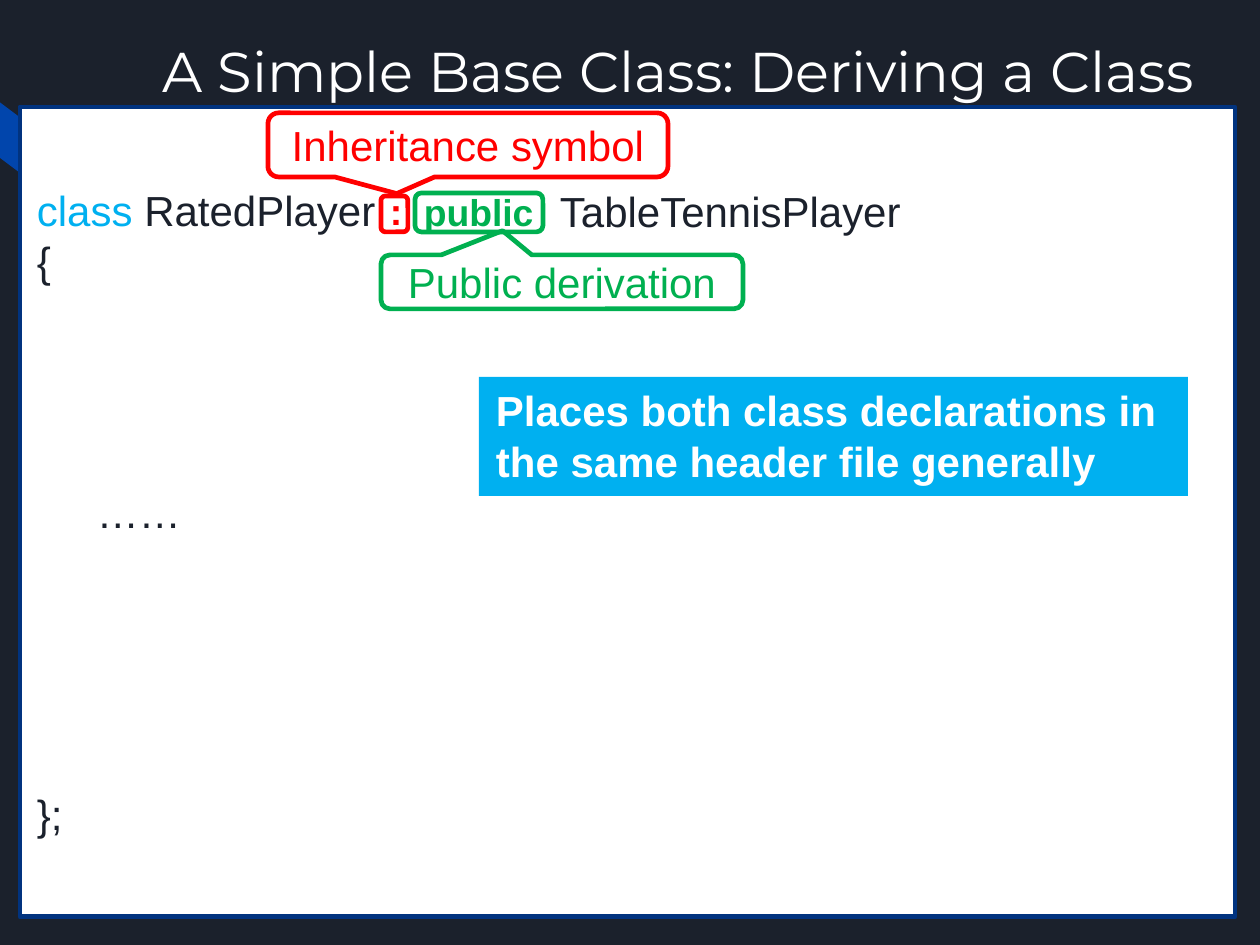
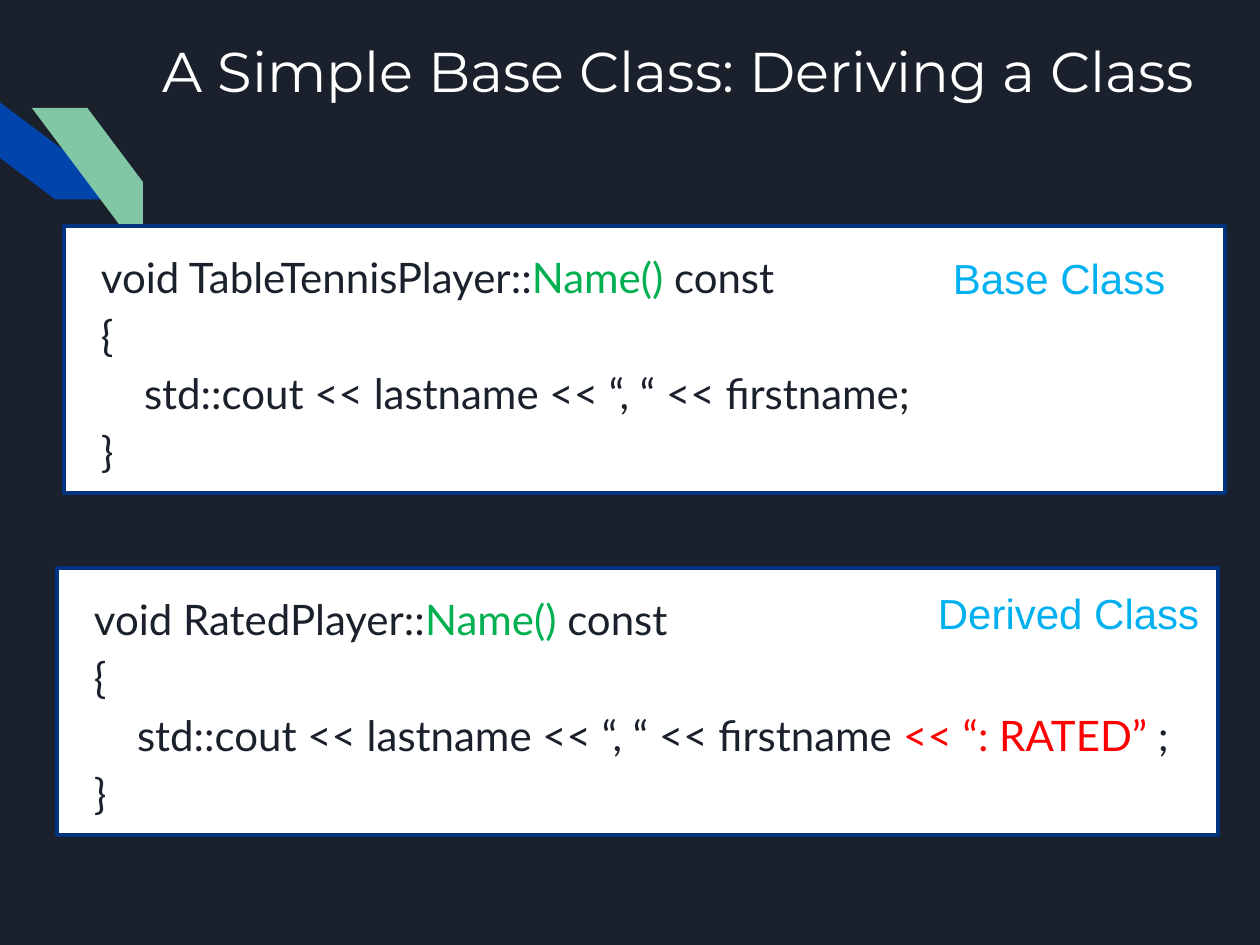
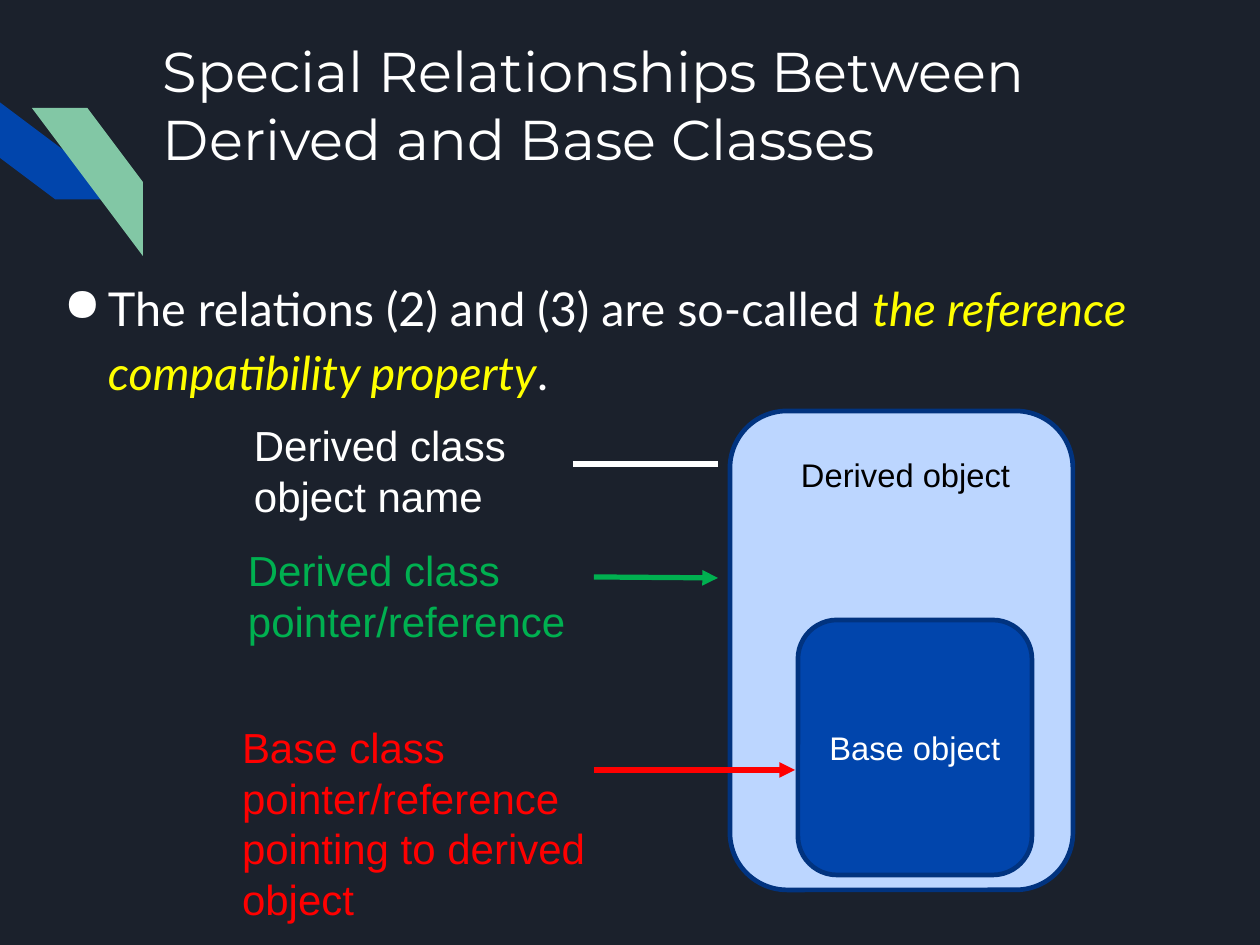
import pptx
import pptx.util
import pptx.dml.color
import pptx.enum.shapes
import pptx.enum.text
import pptx.oxml.ns
import lxml.etree

PX = 914400 / 168
COLORS = {
    "night": "1B212C", "white": "FFFFFF", "black": "000000", "navy": "01337F",
    "blue": "0145AC", "mint": "82C7A5", "sky": "00B0F0", "pale": "BCD6FF",
    "red": "FF0000", "green": "00B050", "yellow": "FFFF00",
}
SHAPE = pptx.enum.shapes.MSO_SHAPE
ALIGN = pptx.enum.text.PP_ALIGN
ANCHOR = pptx.enum.text.MSO_ANCHOR
qn = pptx.oxml.ns.qn


def px(n):
    return pptx.util.Emu(round(n * PX))


def rgb(name):
    return pptx.dml.color.RGBColor.from_string(COLORS[name])


def add_bullet(p, char, color):
    pPr = p._p.get_or_add_pPr()
    clr = lxml.etree.SubElement(pPr, qn("a:buClr"))
    lxml.etree.SubElement(clr, qn("a:srgbClr")).set("val", COLORS[color])
    lxml.etree.SubElement(pPr, qn("a:buChar")).set("char", char)


def write(tf, paras, size=18, font="Arial", color="white", bold=False, align=ALIGN.LEFT,
          anchor=ANCHOR.TOP, inset=(17, 8), wrap=True, spacing=None, margin=0,
          hanging=0, bullet=None):
    """A paragraph is a list of strings or (text, color, italic) runs; a dict item
    in it holds the extra indent and the space before."""
    tf.word_wrap = wrap
    tf.auto_size = pptx.enum.text.MSO_AUTO_SIZE.NONE
    tf.vertical_anchor = anchor
    tf.margin_left = tf.margin_right = px(inset[0])
    tf.margin_top = tf.margin_bottom = px(inset[1])
    for i, parts in enumerate(paras):
        p = tf.paragraphs[0] if i == 0 else tf.add_paragraph()
        p.alignment = align
        if spacing:
            p.line_spacing = spacing
        extra = 0
        for part in parts:
            if isinstance(part, dict):
                extra = part.get("indent", 0)
                p.space_before = pptx.util.Pt(part.get("before", 0))
                continue
            text, tint, italic = (part, color, False) if isinstance(part, str) else part
            r = p.add_run()
            r.text = text
            r.font.size = pptx.util.Pt(size)
            r.font.name = font
            r.font.bold = bold
            r.font.italic = italic
            r.font.color.rgb = rgb(tint)
        pPr = p._p.get_or_add_pPr()
        pPr.set("marL", str(px(margin + extra)))
        pPr.set("indent", str(px(hanging)))
        if bullet:
            add_bullet(p, bullet, color)


def add_box(slide, kind, box, fill=None, line=None, adj=(), paras=(), **fmt):
    sp = slide.shapes.add_shape(kind, *map(px, box))
    sp.shadow.inherit = False
    for i, value in enumerate(adj):
        sp.adjustments[i] = value
    if fill:
        sp.fill.solid()
        sp.fill.fore_color.rgb = rgb(fill)
    else:
        sp.fill.background()
    if line:
        sp.line.color.rgb = rgb(line)
        sp.line.width = pptx.util.Pt(2)
    else:
        sp.line.fill.background()
    if paras:
        write(sp.text_frame, paras, **fmt)
    return sp


def add_label(slide, box, *paras, **fmt):
    tb = slide.shapes.add_textbox(*map(px, box))
    write(tb.text_frame, paras, **fmt)


def add_line(slide, start, end, color, arrow=True):
    cx = slide.shapes.add_connector(pptx.enum.shapes.MSO_CONNECTOR.STRAIGHT,
                                    *map(px, start + end))
    cx.line.color.rgb = rgb(color)
    cx.line.width = pptx.util.Pt(2.25)
    if arrow:
        lxml.etree.SubElement(cx.line._get_or_add_ln(), qn("a:tailEnd")).set("type", "triangle")
    lxml.etree.SubElement(cx._element.spPr, qn("a:effectLst"))


def add_slide(prs, title):
    slide = prs.slides.add_slide(prs.slide_layouts[5])
    sp = slide.shapes.title
    sp.left, sp.top, sp.width, sp.height = map(px, (151, 25, 1095, 126))
    write(sp.text_frame, [[title]], size=24, font="Montserrat", inset=(12, 12))
    return slide


def decorate_layout(prs, slide):
    """Background and corner stripes, shared through the layout."""
    prs.slide_master.background.fill.solid()
    prs.slide_master.background.fill.fore_color.rgb = rgb("night")
    blue = add_box(slide, SHAPE.DIAGONAL_STRIPE, (0, 70, 111, 148), "blue", adj=[0.5])
    blue.rotation = 270
    mint = add_box(slide, SHAPE.DIAGONAL_STRIPE, (32, 108, 111, 148), "mint", adj=[0.5])
    mint._element.spPr.find(qn("a:xfrm")).set("flipH", "1")
    for sp in (blue, mint):
        slide.slide_layout.shapes.element.append(sp._element)


def add_callout(slide, box, text, color, tip):
    add_box(slide, SHAPE.ROUNDED_RECTANGULAR_CALLOUT, box, line=color, adj=tip + (0.167,),
            paras=[[text]], color=color, align=ALIGN.CENTER, anchor=ANCHOR.MIDDLE)


def add_declaration(slide, box):
    """Class declaration with its marked symbols; parts are relative to the panel."""
    x, y, w, h = box
    add_box(slide, SHAPE.RECTANGLE, box, "white", "navy", color="night", anchor=ANCHOR.MIDDLE,
            paras=[[("class ", "sky", False), "RatedPlayer"],
                   ["{"],
                   [{"indent": 60, "before": 86}, "……"],
                   [{"before": 108}, "};"]])
    add_callout(slide, (x + 248, y + 6, 400, 64), "Inheritance symbol", "red", (-0.178, 0.761))
    add_callout(slide, (x + 361, y + 148, 362, 54), "Public derivation", "green",
                (-0.164, -0.949))
    for dx, dy, bw, bh, color in ((361, 89, 27, 36, "red"), (395, 86, 128, 39, "green")):
        add_box(slide, SHAPE.ROUNDED_RECTANGLE, (x + dx, y + dy, bw, bh), line=color)
    for dx, dy, tw, th, text, fmt in (
            (353, 73, 57, 62, ":", {"size": 16, "color": "red", "bold": True}),
            (387, 74, 144, 62, "public", {"size": 16, "color": "green", "bold": True}),
            (523, 71, 388, 67, "TableTennisPlayer", {"color": "night"})):
        add_label(slide, (x + dx, y + dy, tw, th), [text], wrap=False, **fmt)
    add_box(slide, SHAPE.RECTANGLE, (x + 459, y + 270, 709, 119), "sky", bold=True,
            paras=[["Places both class declarations in the same header file generally"]])


def add_method(slide, box, owner, ending, label, label_box):
    """Panel with one Name() method and a label at its upper right."""
    x, y = box[:2]
    add_box(slide, SHAPE.RECTANGLE, box, "white", "navy", font="Lato", color="night",
            anchor=ANCHOR.MIDDLE, inset=(17, 17), spacing=1.15, margin=20,
            paras=[[f"void {owner}::", ("Name() ", "green", False), "const"],
                   ["{"],
                   [{"indent": 43}, "std::cout << lastname << “, “ << firstname", *ending],
                   ["}"]])
    dx, dy, w, h = label_box
    add_label(slide, (x + dx, y + dy, w, h), [label], color="sky", wrap=False)


def add_objects(slide, box):
    """Derived object that contains a base object."""
    x, y = box[:2]
    add_box(slide, SHAPE.ROUNDED_RECTANGLE, box, "pale", "navy")
    add_label(slide, (x + 54, y + 36, 264, 57), ["Derived object"], size=14, color="black")
    add_box(slide, SHAPE.ROUNDED_RECTANGLE, (x + 68, y + 209, 234, 255), "blue", "navy",
            paras=[["Base object"]], size=14, align=ALIGN.CENTER, anchor=ANCHOR.MIDDLE)


def add_references(slide, x, y):
    """Names and pointers to the left of the objects, with their lines."""
    add_label(slide, (x + 12, y, 386, 119), ["Derived class"], ["object name"])
    add_label(slide, (x + 6, y + 125, 386, 119), ["Derived class pointer/reference"],
              color="green")
    add_label(slide, (x, y + 302, 398, 220), ["Base class pointer/reference"],
              ["pointing to derived object"], color="red")
    add_line(slide, (x + 348, y + 52), (x + 493, y + 52), "white", arrow=False)
    add_line(slide, (x + 369, y + 165), (x + 493, y + 166), "green")
    add_line(slide, (x + 369, y + 358), (x + 570, y + 358), "red")


def main():
    prs = pptx.Presentation()
    prs.slide_width, prs.slide_height = px(1260), px(945)

    # Deriving a class: declaration
    deriving = "A Simple Base Class: Deriving a Class"
    slide = add_slide(prs, deriving)
    decorate_layout(prs, slide)
    add_declaration(slide, (20, 107, 1215, 810))

    # Deriving a class: methods
    slide = add_slide(prs, deriving)
    add_method(slide, (64, 226, 1161, 267), "TableTennisPlayer", [";"],
               "Base Class", (872, 19, 249, 67))
    add_method(slide, (57, 568, 1161, 267), "RatedPlayer",
               [" ", ("<< “: RATED” ", "red", False), ";"],
               "Derived Class", (864, 12, 297, 67))

    # Relationships
    slide = add_slide(prs, "Special Relationships Between Derived and Base Classes")
    add_label(slide, (29, 254, 1189, 150),
              ["The relations (2) and (3) are so-called ",
               ("the reference compatibility property", "yellow", True), "."],
              size=20, font="Lato", inset=(17, 17), spacing=1.15,
              margin=62, hanging=-44, bullet="●")
    add_objects(slide, (730, 411, 343, 479))
    add_references(slide, 225, 412)

    prs.save("out.pptx")


if __name__ == "__main__":
    main()
